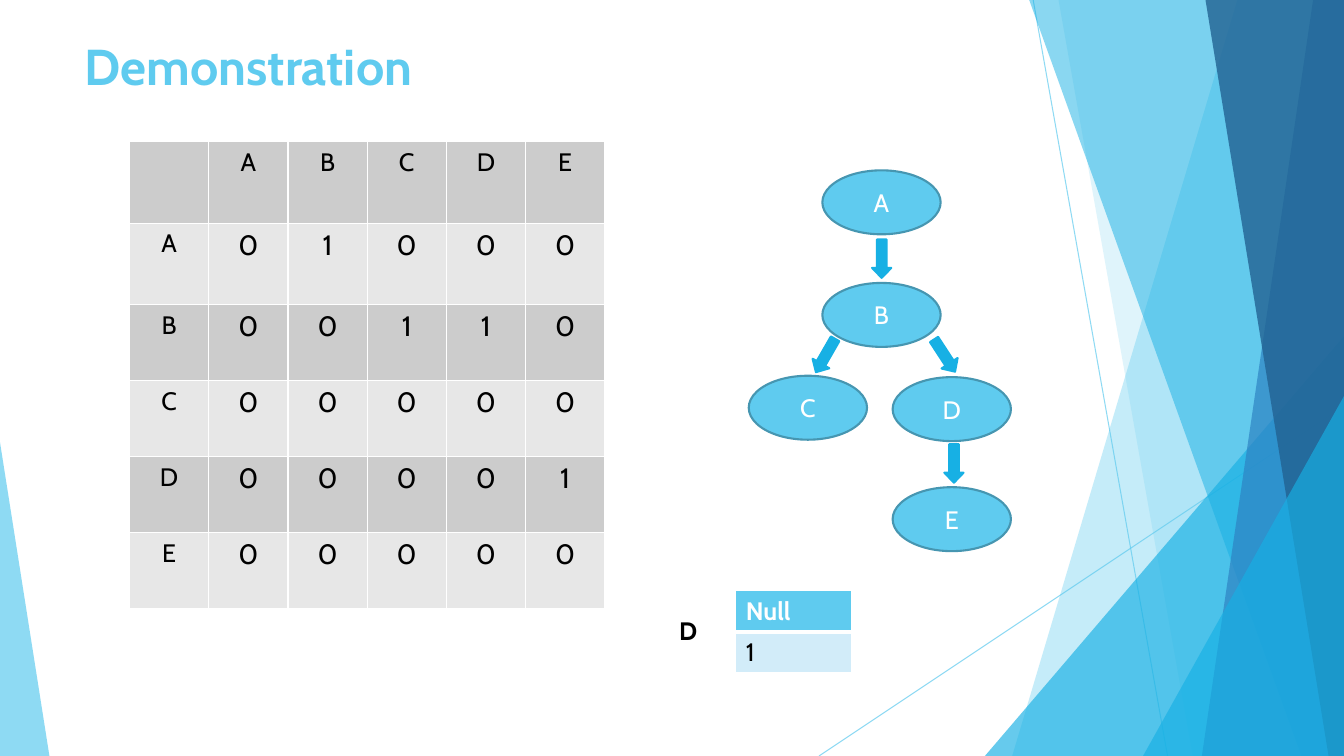
"""Build the adjacency matrix demonstration slide."""
from dataclasses import dataclass

from lxml.etree import SubElement
from pptx import Presentation
from pptx.dml.color import RGBColor
from pptx.enum.shapes import MSO_CONNECTOR, MSO_SHAPE
from pptx.enum.text import MSO_ANCHOR, MSO_AUTO_SIZE, PP_ALIGN
from pptx.oxml.ns import qn
from pptx.util import Pt


@dataclass(frozen=True)
class Theme:
    """Colours, font and type sizes of the slide."""
    font: str = "Cabin"
    sky: str = "5FCBEF"
    azure: str = "17B0E4"
    blue: str = "2E83C3"
    navy: str = "226292"
    outline: str = "4696B1"
    pale: str = "D2ECF9"
    dark_band: str = "CCCCCC"
    light_band: str = "E7E7E7"
    white: str = "FFFFFF"
    black: str = "000000"
    title_size: float = 36
    value_size: float = 20
    label_size: float = 18


def set_attributes(target, values):
    """Set each named attribute on the target."""
    for name, value in values.items():
        setattr(target, name, value)


class SlideBuilder:
    """Draws styled elements on one slide, measured in points."""

    def __init__(self, presentation, theme):
        """Add a title-only slide."""
        self.theme = theme
        self.slide = presentation.slides.add_slide(presentation.slide_layouts[5])

    def add_text(self, frame, text, size, color, bold=False, align=PP_ALIGN.LEFT):
        """Put one formatted paragraph into a text frame."""
        paragraph = frame.paragraphs[0]
        paragraph.alignment = align
        run = paragraph.add_run()
        run.text = text
        set_attributes(run.font, {"name": self.theme.font, "size": Pt(size), "bold": bold})
        run.font.color.rgb = RGBColor.from_string(color)

    def set_opacity(self, shape, percent):
        """Make the colours of a shape partly transparent."""
        for color in shape.element.iter(qn("a:srgbClr")):
            SubElement(color, qn("a:alpha"), val=str(percent * 1000))

    def paint(self, shape, fill, outline=None):
        """Set the fill and outline and drop the shadow."""
        shape.shadow.inherit = False
        shape.fill.solid()
        shape.fill.fore_color.rgb = RGBColor.from_string(fill)
        if outline:
            shape.line.width = Pt(1.5)
            shape.line.color.rgb = RGBColor.from_string(outline)
        else:
            shape.line.fill.background()

    def title(self, text, box):
        """Move and fill the title placeholder."""
        shape = self.slide.shapes.title
        set_attributes(shape, dict(zip(("left", "top", "width", "height"), map(Pt, box))))
        shape.text_frame.vertical_anchor = MSO_ANCHOR.TOP
        self.add_text(shape.text_frame, text, self.theme.title_size, self.theme.sky, True)

    def shape(self, kind, box, fill, outline=None, adjustments=(), rotation=0):
        """Add a preset shape."""
        shape = self.slide.shapes.add_shape(kind, *map(Pt, box))
        for index, value in enumerate(adjustments):
            shape.adjustments[index] = value
        shape.rotation = rotation
        self.paint(shape, fill, outline)
        return shape

    def triangle(self, box, apex, fill, opacity):
        """Add a translucent triangle."""
        shape = self.shape(MSO_SHAPE.ISOSCELES_TRIANGLE, box, fill, adjustments=(apex,))
        self.set_opacity(shape, opacity)

    def facet(self, top_x, bottom_x, fill, opacity):
        """Add a translucent panel reaching the right slide edge."""
        builder = self.slide.shapes.build_freeform(Pt(top_x), Pt(-0.5))
        corners = ((960, -0.5), (960, 540), (bottom_x, 540))
        builder.add_line_segments([(Pt(x), Pt(y)) for x, y in corners], close=True)
        shape = builder.convert_to_shape()
        self.paint(shape, fill)
        self.set_opacity(shape, opacity)

    def line(self, start, end):
        """Add a thin translucent line."""
        connector = self.slide.shapes.add_connector(MSO_CONNECTOR.STRAIGHT, *map(Pt, start + end))
        connector.line.width = Pt(0.75)
        connector.line.color.rgb = RGBColor.from_string(self.theme.sky)
        self.set_opacity(connector, 70)
        SubElement(connector.element.spPr, qn("a:effectLst"))

    def node(self, text, left, top):
        """Add a labelled graph node."""
        shape = self.shape(MSO_SHAPE.OVAL, (left, top, 84.5, 45.7), self.theme.sky, self.theme.outline)
        shape.text_frame.vertical_anchor = MSO_ANCHOR.MIDDLE
        self.add_text(shape.text_frame, text, self.theme.label_size, self.theme.white, align=PP_ALIGN.CENTER)

    def arrow(self, left, top, rotation):
        """Add a block arrow between nodes."""
        self.shape(MSO_SHAPE.LEFT_ARROW, (left, top, 27.4, 13.7), self.theme.azure,
                   self.theme.azure, (0.5, 0.52), rotation)

    def table(self, left, top, column_widths, row_heights):
        """Add an unbanded table and return its grid."""
        box = (left, top, sum(column_widths), sum(row_heights))
        table = self.slide.shapes.add_table(len(row_heights), len(column_widths), *map(Pt, box)).table
        set_attributes(table, {"first_row": False, "horz_banding": False})
        for column, width in zip(table.columns, column_widths):
            column.width = Pt(width)
        for row, height in zip(table.rows, row_heights):
            row.height = Pt(height)
        return table

    def cell(self, cell, fill, borders=(1, 1, 1, 1)):
        """Give a cell white borders (left, right, top, bottom) and a fill."""
        properties = cell._tc.get_or_add_tcPr()
        for side, width in zip("LRTB", borders):
            border = SubElement(properties, qn(f"a:ln{side}"), w=str(Pt(width)))
            SubElement(SubElement(border, qn("a:solidFill")), qn("a:srgbClr"), val=self.theme.white)
        cell.fill.solid()
        cell.fill.fore_color.rgb = RGBColor.from_string(fill)

    def matrix(self, names, edges):
        """Add the adjacency matrix of a directed graph."""
        theme = self.theme
        table = self.table(92.5, 101.2, [56.6] * 6, [58.2] * 2 + [54.3] * 4)
        rows = [["", *names]]
        rows += [[start, *("1" if start + end in edges else "0" for end in names)] for start in names]
        for row_index, row in enumerate(rows):
            for column_index, text in enumerate(row):
                cell = table.cell(row_index, column_index)
                self.cell(cell, theme.light_band if row_index % 2 else theme.dark_band)
                if text:
                    size = theme.value_size if row_index and column_index else theme.label_size
                    self.add_text(cell.text_frame, text, size, theme.black, align=PP_ALIGN.CENTER)

    def stack(self, header, value):
        """Add the two-cell stack table."""
        theme = self.theme
        table = self.table(525.6, 422, [82.5], [29.2, 29.2])
        rows = ((header, theme.sky, theme.white, True, (1, 1, 1, 3)),
                (value, theme.pale, theme.black, False, (1, 1, 3, 1)))
        for index, (text, fill, color, bold, borders) in enumerate(rows):
            cell = table.cell(index, 0)
            self.cell(cell, fill, borders)
            self.add_text(cell.text_frame, text, theme.label_size, color, bold)

    def label(self, text, box):
        """Add a bold label that fits its text."""
        frame = self.slide.shapes.add_textbox(*map(Pt, box)).text_frame
        set_attributes(frame, {"word_wrap": False, "auto_size": MSO_AUTO_SIZE.SHAPE_TO_FIT_TEXT})
        self.add_text(frame, text, self.theme.label_size, self.theme.black, True)


def main():
    """Build and save the presentation."""
    presentation = Presentation()
    set_attributes(presentation, {"slide_width": Pt(960), "slide_height": Pt(540)})
    theme = Theme()
    builder = SlideBuilder(presentation, theme)

    builder.line((738, 0), (834, 540))
    builder.line((960, 290), (585, 540))
    builder.facet(884, 723, theme.sky, 36)
    builder.facet(756, 852, theme.sky, 20)
    builder.triangle((703.5, 240, 256.5, 300), 1, theme.azure, 66)
    builder.facet(735, 929.5, theme.azure, 50)
    builder.facet(938, 858.5, theme.blue, 70)
    builder.facet(861, 949, theme.navy, 80)
    builder.triangle((816.5, 283, 143.5, 257), 1, theme.azure, 66)
    builder.triangle((0, 316, 35.3, 224), 0, theme.sky, 70)

    builder.title("Demonstration", (53.3, 21.6, 676.8, 103.7))
    builder.matrix("ABCDE", {"AB", "BC", "BD", "DE"})
    for name, left, top in (("A", 587.4, 121.7), ("B", 587.4, 202.1), ("C", 534.8, 268.4),
                            ("D", 637.6, 269.4), ("E", 637.6, 348)):
        builder.node(name, left, top)
    for left, top, rotation in ((616.1, 177.9, 270), (661, 247.1, 236.9),
                                (576, 247.1, 299.9), (667.7, 324.2, 270)):
        builder.arrow(left, top, rotation)
    builder.stack("Null", "1")
    builder.label("D", (478.1, 436.3, 25.9, 28.8))
    presentation.save("out.pptx")


if __name__ == "__main__":
    main()
